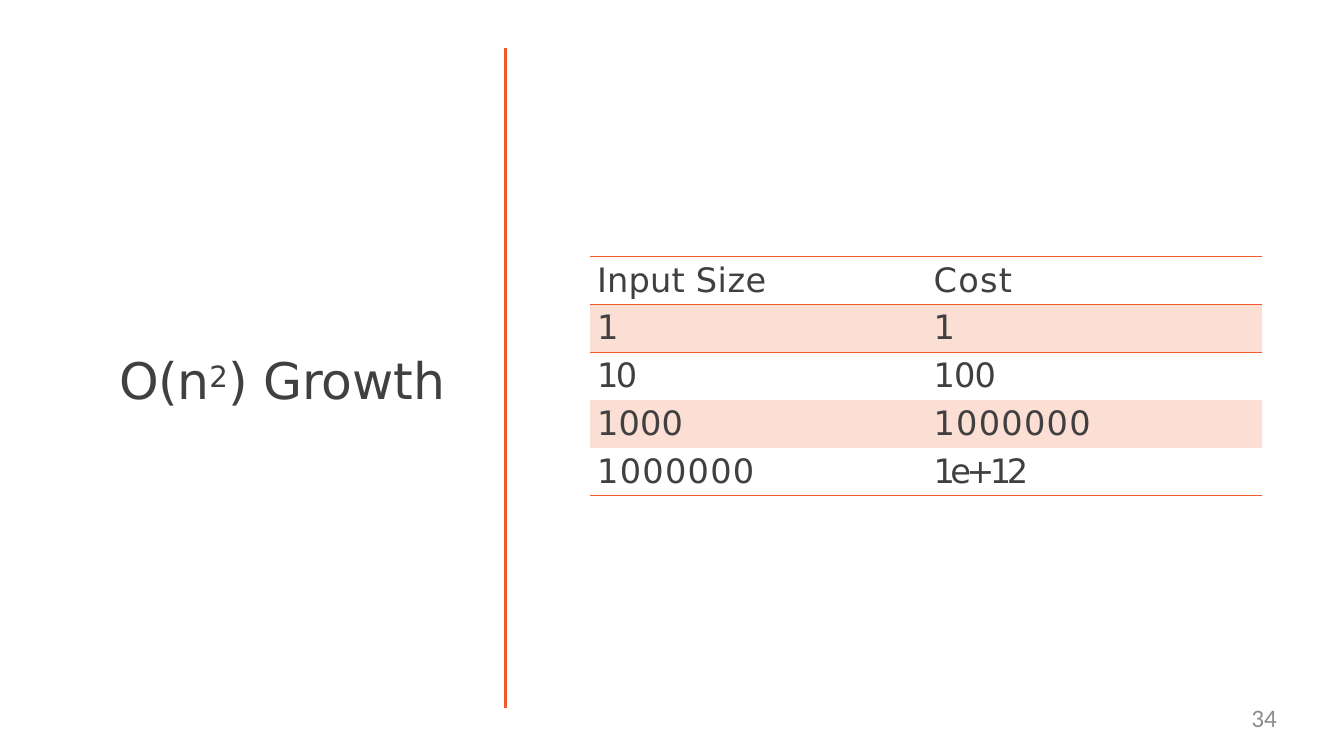
from dataclasses import dataclass

from lxml import etree
from pptx import Presentation
from pptx import util as u
from pptx.dml.color import RGBColor
from pptx.enum import shapes, text
from pptx.oxml import ns

ORANGE = RGBColor(0xEF, 0x5A, 0x28)
PEACH = RGBColor(0xFB, 0xDE, 0xD4)
DARK = RGBColor(0x40, 0x40, 0x40)
GRAY = RGBColor(0x8C, 0x8C, 0x8C)

TITLE_FORMAT = {"name": "DejaVu Sans", "size": u.Pt(36), "color": DARK}
CELL_FORMAT = {"name": "DejaVu Sans", "size": u.Pt(24), "color": DARK}
NUMBER_FORMAT = {"name": "Calibri", "size": u.Pt(18), "color": GRAY}

ROW_HEIGHT = 34.2
COLUMN_WIDTHS = (188.6, 291.6)
COLUMN_INDENTS = (5.3, 57)
RULED_EDGES = {0, 1, 2, 5}


@dataclass(frozen=True)
class Piece:
    words: str
    spacing: float = 0
    baseline: int = 0


@dataclass(frozen=True)
class Label:
    left: float
    top: float
    width: float
    height: float
    pieces: tuple[Piece, ...]
    font_format: dict
    margin_left: float = 0
    margin_top: float = 0
    alignment: text.PP_ALIGN = text.PP_ALIGN.LEFT


LABELS = (
    Label(82, 245.5, 246.3, 45.4,
          (Piece("O(n", -0.3), Piece("2", -0.4, 25), Piece(") ", -0.3), Piece("Growth", -0.1)),
          TITLE_FORMAT, margin_left=3, margin_top=4),
    Label(691.2, 501.8, 221, 27.4, (Piece("34"),), NUMBER_FORMAT,
          alignment=text.PP_ALIGN.RIGHT),
)

GROWTH_ROWS = (
    ((Piece("Input ", 0.1), Piece("Size", 0.4)), (Piece("Cost", 0.9),)),
    ((Piece("1"),), (Piece("1"),)),
    ((Piece("10", -1.9),), (Piece("100", -0.6),)),
    ((Piece("1000", 0.1),), (Piece("1000000", 0.9),)),
    ((Piece("1000000", 0.9),), (Piece("1e+12", -3.3),)),
)


def write_pieces(paragraph, pieces: tuple[Piece, ...], font_format: dict) -> None:
    for piece in pieces:
        run = paragraph.add_run()
        run.text = piece.words
        for name, value in font_format.items():
            if name == "color":
                run.font.color.rgb = value
            else:
                setattr(run.font, name, value)
        properties = run.font._element
        properties.set("spc", str(round(piece.spacing * 100)))
        if piece.baseline:
            properties.set("baseline", str(piece.baseline * 1000))


def add_label(slide, label: Label) -> None:
    box = slide.shapes.add_textbox(
        *map(u.Pt, (label.left, label.top, label.width, label.height)))
    frame = box.text_frame
    frame_format = {
        "word_wrap": True,
        "margin_left": u.Pt(label.margin_left),
        "margin_top": u.Pt(label.margin_top),
        "margin_right": 0,
        "margin_bottom": 0,
    }
    for name, value in frame_format.items():
        setattr(frame, name, value)
    paragraph = frame.paragraphs[0]
    paragraph.alignment = label.alignment
    write_pieces(paragraph, label.pieces, label.font_format)


def set_border(cell, tag: str, visible: bool) -> None:
    properties = cell._tc.get_or_add_tcPr()
    border = etree.SubElement(properties, ns.qn(tag), w=str(u.Pt(1)))
    if visible:
        fill = etree.SubElement(border, ns.qn("a:solidFill"))
        etree.SubElement(fill, ns.qn("a:srgbClr"), val=str(ORANGE))
    else:
        etree.SubElement(border, ns.qn("a:noFill"))


def add_growth_table(slide) -> None:
    frame = slide.shapes.add_table(
        len(GROWTH_ROWS), len(COLUMN_WIDTHS), u.Pt(421.3), u.Pt(183.3),
        u.Pt(sum(COLUMN_WIDTHS)), u.Pt(ROW_HEIGHT * len(GROWTH_ROWS)))
    table = frame.table
    table.first_row = False
    table.horz_banding = False
    for column, width in zip(table.columns, COLUMN_WIDTHS):
        column.width = u.Pt(width)
    for row_index, row in enumerate(GROWTH_ROWS):
        table.rows[row_index].height = u.Pt(ROW_HEIGHT)
        for column_index, pieces in enumerate(row):
            cell = table.cell(row_index, column_index)
            cell_format = {
                "margin_left": u.Pt(COLUMN_INDENTS[column_index]),
                "margin_top": u.Pt(3),
                "margin_right": 0,
                "margin_bottom": 0,
            }
            for name, value in cell_format.items():
                setattr(cell, name, value)
            for tag, visible in (("a:lnL", False), ("a:lnR", False),
                                 ("a:lnT", row_index in RULED_EDGES),
                                 ("a:lnB", row_index + 1 in RULED_EDGES)):
                set_border(cell, tag, visible)
            if row_index % 2:
                cell.fill.solid()
                cell.fill.fore_color.rgb = PEACH
            else:
                cell.fill.background()
            write_pieces(cell.text_frame.paragraphs[0], pieces, CELL_FORMAT)


def add_divider(slide) -> None:
    divider = slide.shapes.add_connector(
        shapes.MSO_CONNECTOR.STRAIGHT, *map(u.Pt, (361, 34, 361, 505.5)))
    divider.line.color.rgb = ORANGE
    divider.line.width = u.Pt(2.04)
    etree.SubElement(divider._element.spPr, ns.qn("a:effectLst"))


def main() -> None:
    presentation = Presentation()
    presentation.slide_width = u.Pt(960)
    presentation.slide_height = u.Pt(540)
    slide = presentation.slides.add_slide(presentation.slide_layouts[6])
    add_divider(slide)
    add_growth_table(slide)
    for label in LABELS:
        add_label(slide, label)
    presentation.save("out.pptx")


if __name__ == "__main__":
    main()
